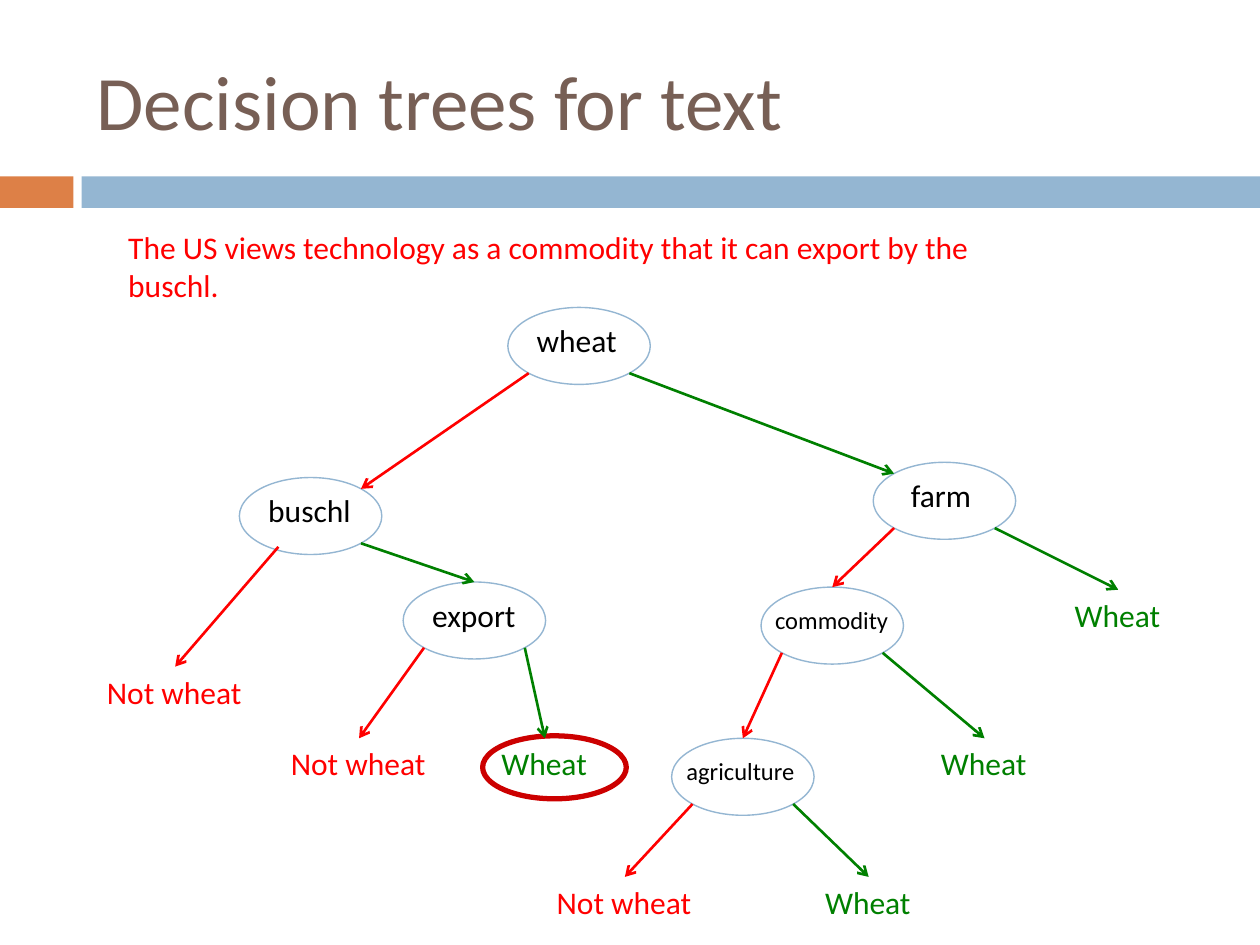
from dataclasses import dataclass

from lxml import etree
from pptx import Presentation
from pptx.dml.color import RGBColor
from pptx.enum.shapes import MSO_CONNECTOR, MSO_SHAPE
from pptx.enum.text import MSO_ANCHOR, MSO_AUTO_SIZE, PP_ALIGN
from pptx.oxml.ns import qn
from pptx.util import Pt

STRAIGHT = MSO_CONNECTOR.STRAIGHT
ELLIPSE, RECTANGLE = MSO_SHAPE.OVAL, MSO_SHAPE.RECTANGLE
MIDDLE, LEFT = MSO_ANCHOR.MIDDLE, PP_ALIGN.LEFT
GROW, FIXED = MSO_AUTO_SIZE.SHAPE_TO_FIT_TEXT, MSO_AUTO_SIZE.NONE
TOP_SITE = 0


@dataclass(frozen=True)
class Theme:
    font: str = "Calibri"
    title: str = "775F55"
    accent: str = "DD8047"
    band: str = "94B6D2"
    word: str = "000000"
    no: str = "FF0000"
    yes: str = "008000"
    answer: str = "CC0000"
    title_size: float = 44
    text_size: float = 18
    small_size: float = 14
    node_line: float = 0.79
    edge_line: float = 1.5
    answer_line: float = 3


THEME = Theme()
NODE_W, NODE_H = 81.4, 44
CORNER = (1 - 0.5 ** 0.5) / 2
LABEL_HEIGHT = {THEME.text_size: 28.8, THEME.small_size: 24.5}
LEAF_STYLE = {"no": ("Not wheat", 92.2, THEME.no), "yes": ("Wheat", 64, THEME.yes)}

# word: (node left, node top, label dx, label dy, label width, size)
NODES = {
    "wheat": (290.2, 175.7, 9.4, 4.3, 61.2, THEME.text_size),
    "buschl": (136.8, 272.9, 9.4, 4.3, 61.9, THEME.text_size),
    "export": (230.4, 332.6, 9.4, 4.3, 63.4, THEME.text_size),
    "farm": (499, 264.2, 14.4, 4.3, 49.7, THEME.text_size),
    "commodity": (434.9, 335.5, 0.9, 6.5, 79.9, THEME.small_size),
    "agriculture": (383.8, 421.9, 1.4, 6.5, 77, THEME.small_size),
}
LEAVES = [
    ("buschl", "no", 54, 380.9),
    ("export", "no", 159.1, 421.9),
    ("export", "yes", 279.4, 421.9),
    ("agriculture", "no", 311, 501.1),
    ("agriculture", "yes", 464.4, 501.1),
    ("commodity", "yes", 530.6, 421.9),
    ("farm", "yes", 607, 337),
]
BRANCHES = [
    ("buschl", "yes", "export"),
    ("farm", "no", "commodity"),
    ("commodity", "no", "agriculture"),
]


def apply(target, values):
    for name, value in values.items():
        setattr(target, name, value)


def rgb(color):
    return RGBColor.from_string(color)


def write(frame, text, size, color):
    paragraph = frame.paragraphs[0]
    paragraph.alignment = LEFT
    run = paragraph.add_run()
    run.text = text
    apply(run.font, {"name": THEME.font, "size": Pt(size)})
    run.font.color.rgb = rgb(color)


def add_title(slide, text):
    title = slide.shapes.title
    apply(title, {"left": Pt(48), "top": Pt(18), "width": Pt(642), "height": Pt(78)})
    apply(title.text_frame, {"vertical_anchor": MIDDLE, "auto_size": FIXED})
    write(title.text_frame, text, THEME.title_size, THEME.title)


def add_label(slide, text, left, top, width, size, color, wrap=False):
    box = slide.shapes.add_textbox(Pt(left), Pt(top), Pt(width), Pt(LABEL_HEIGHT[size]))
    apply(box.text_frame, {"word_wrap": wrap, "auto_size": GROW})
    write(box.text_frame, text, size, color)
    return box


def add_bar(slide, left, width, color):
    bar = slide.shapes.add_shape(RECTANGLE, Pt(left), Pt(100.8), Pt(width), Pt(18))
    bar.shadow.inherit = False
    bar.fill.solid()
    bar.fill.fore_color.rgb = rgb(color)
    bar.line.fill.background()


def add_ring(slide, left, top, width, height, color, weight):
    ring = slide.shapes.add_shape(ELLIPSE, Pt(left), Pt(top), Pt(width), Pt(height))
    ring.shadow.inherit = False
    ring.fill.background()
    ring.line.color.rgb = rgb(color)
    ring.line.width = Pt(weight)
    return ring


def add_node(slide, word):
    left, top, dx, dy, width, size = NODES[word]
    node = add_ring(slide, left, top, NODE_W, NODE_H, THEME.band, THEME.node_line)
    add_label(slide, word, left + dx, top + dy, width, size, THEME.word)
    return node


def add_leaf(slide, answer, left, top):
    text, width, color = LEAF_STYLE[answer]
    return add_label(slide, text, left, top, width, THEME.text_size, color)


def corner(word, right, bottom):
    left, top = NODES[word][:2]
    across = 1 - CORNER if right else CORNER
    down = 1 - CORNER if bottom else CORNER
    return left + across * NODE_W, top + down * NODE_H


def add_edge(slide, start, end, answer, child=None):
    edge = slide.shapes.add_connector(STRAIGHT, *map(Pt, start + end))
    if child is not None:
        edge.end_connect(child, TOP_SITE)
    edge.line.color.rgb = rgb(LEAF_STYLE[answer][2])
    edge.line.width = Pt(THEME.edge_line)
    etree.SubElement(edge.line._get_or_add_ln(), qn("a:tailEnd"), type="arrow")
    etree.SubElement(edge._element.spPr, qn("a:effectLst"))


def add_branch(slide, parent, answer, child):
    start = corner(parent, answer == "yes", True)
    if (parent, answer) == ("buschl", "no"):
        start = (159.1, 312.5)
    add_edge(slide, start, (0, 0), answer, child)


def main():
    deck = Presentation()
    apply(deck, {"slide_width": Pt(720), "slide_height": Pt(540)})
    slide = deck.slides.add_slide(deck.slide_layouts[5])

    add_bar(slide, 0, 42, THEME.accent)
    add_bar(slide, 46.6, 673.4, THEME.band)
    add_title(slide, "Decision trees for text")
    add_label(
        slide,
        "The US views technology as a commodity that it can export by the buschl.",
        66.2, 126.7, 540.7, THEME.text_size, THEME.no, wrap=True,
    )

    add_ring(slide, 275.8, 420.5, 82.1, 36, THEME.answer, THEME.answer_line)
    nodes = {word: add_node(slide, word) for word in NODES}
    leaves = [
        (parent, answer, add_leaf(slide, answer, left, top))
        for parent, answer, left, top in LEAVES
    ]

    add_edge(slide, corner("wheat", False, True), corner("buschl", True, False), "no")
    add_edge(slide, corner("wheat", True, True), corner("farm", False, False), "yes")
    for parent, answer, word in BRANCHES:
        add_branch(slide, parent, answer, nodes[word])
    for parent, answer, leaf in leaves:
        add_branch(slide, parent, answer, leaf)

    deck.save("out.pptx")


if __name__ == "__main__":
    main()
